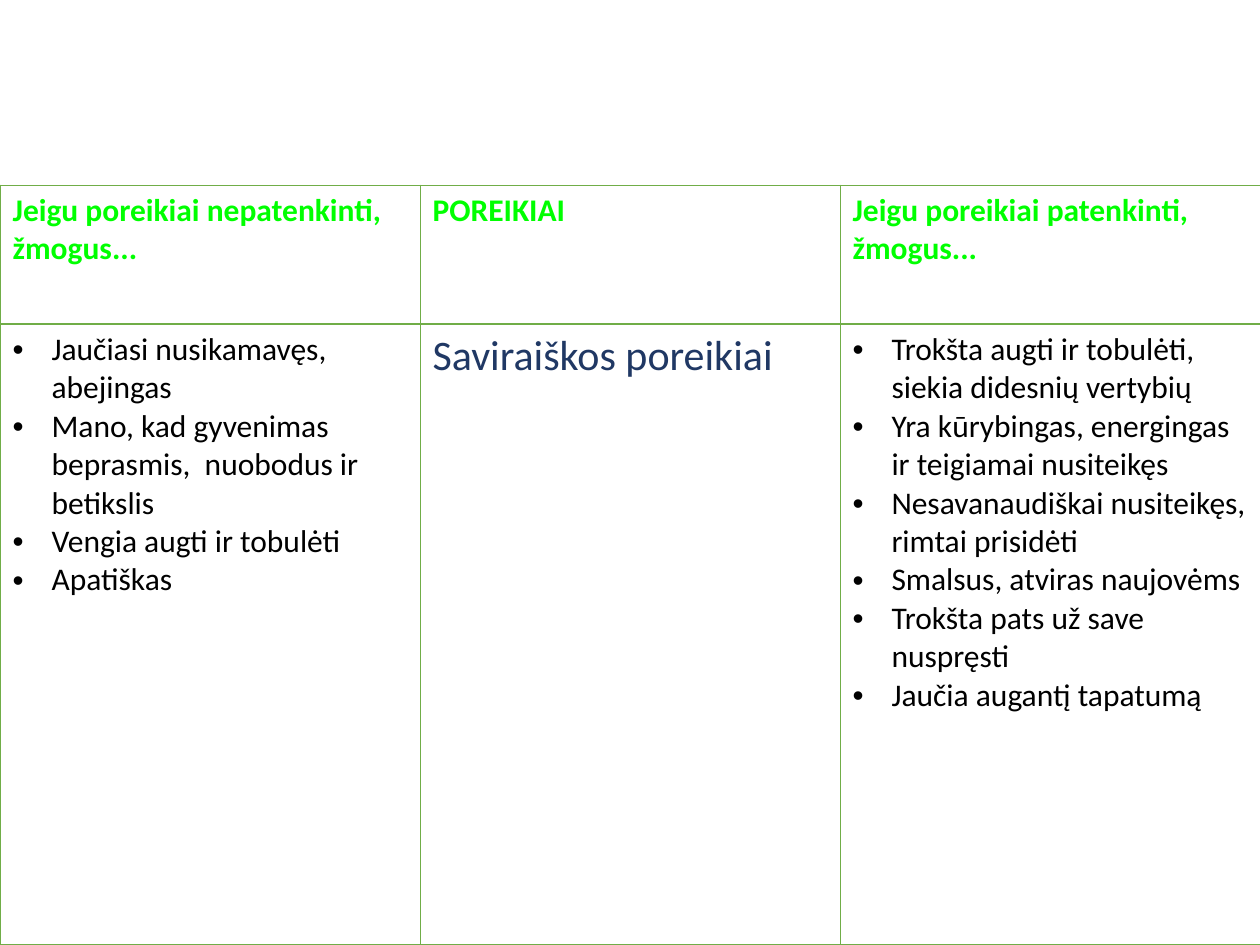
import pptx
import pptx.util
import pptx.dml.color
import pptx.oxml.ns
import lxml.etree

SCALE = 914400 // 126
COLORS = {"head": "00FF00", "need": "203864", "text": "000000",
          "line": "70AD47", "back": "FFFFFF"}


def px(count):
    return pptx.util.Emu(count * SCALE)


def add(parent, tag, **attrs):
    return lxml.etree.SubElement(parent, pptx.oxml.ns.qn(tag), attrs)


rows = [
    [["Jeigu poreikiai nepatenkinti, žmogus..."],
     ["POREIKIAI"],
     ["Jeigu poreikiai patenkinti, žmogus..."]],
    [["Jaučiasi nusikamavęs, abejingas",
      "Mano, kad gyvenimas beprasmis,  nuobodus ir betikslis",
      "Vengia augti ir tobulėti",
      "Apatiškas"],
     ["Saviraiškos poreikiai"],
     ["Trokšta augti ir tobulėti, siekia didesnių vertybių",
      "Yra kūrybingas, energingas ir teigiamai nusiteikęs",
      "Nesavanaudiškai nusiteikęs, rimtai prisidėti",
      "Smalsus, atviras naujovėms",
      "Trokšta pats už save nuspręsti",
      "Jaučia augantį tapatumą"]],
]
heights = [139, 620]

deck = pptx.Presentation()
deck.slide_width = px(1260)
deck.slide_height = px(945)
slide = deck.slides.add_slide(deck.slide_layouts[6])

table = slide.shapes.add_table(2, 3, 0, px(185), px(1260), px(sum(heights))).table
for col in table.columns:
    col.width = px(420)

for r, row in enumerate(rows):
    table.rows[r].height = px(heights[r])
    for c, lines in enumerate(row):
        cell = table.cell(r, c)
        props = cell._tc.get_or_add_tcPr()
        for side in "LRTB":
            thick = (r, side) in [(0, "B"), (1, "T")]
            width = pptx.util.Pt(0.96 if thick else 0.45)
            edge = add(props, "a:ln" + side, w=str(width))
            add(add(edge, "a:solidFill"), "a:srgbClr", val=COLORS["line"])
        cell.fill.solid()
        cell.fill.fore_color.rgb = pptx.dml.color.RGBColor.from_string(COLORS["back"])

        list_cell = r == 1 and c != 1
        kind = "head" if r == 0 else "text" if list_cell else "need"
        frame = cell.text_frame
        frame.text = "\n".join(lines)
        for para in frame.paragraphs:
            if list_cell:
                style = para._p.get_or_add_pPr()
                style.set("marL", str(px(39)))
                style.set("indent", str(px(-39)))
                add(add(style, "a:buClr"), "a:srgbClr", val=COLORS["text"])
                add(style, "a:buFont", typeface="Arial")
                add(style, "a:buChar", char="•")
            font = para.font
            font.name = "Calibri"
            font.size = pptx.util.Pt(24 if kind == "need" else 18)
            font.bold = kind == "head"
            font.color.rgb = pptx.dml.color.RGBColor.from_string(COLORS[kind])

deck.save("out.pptx")
